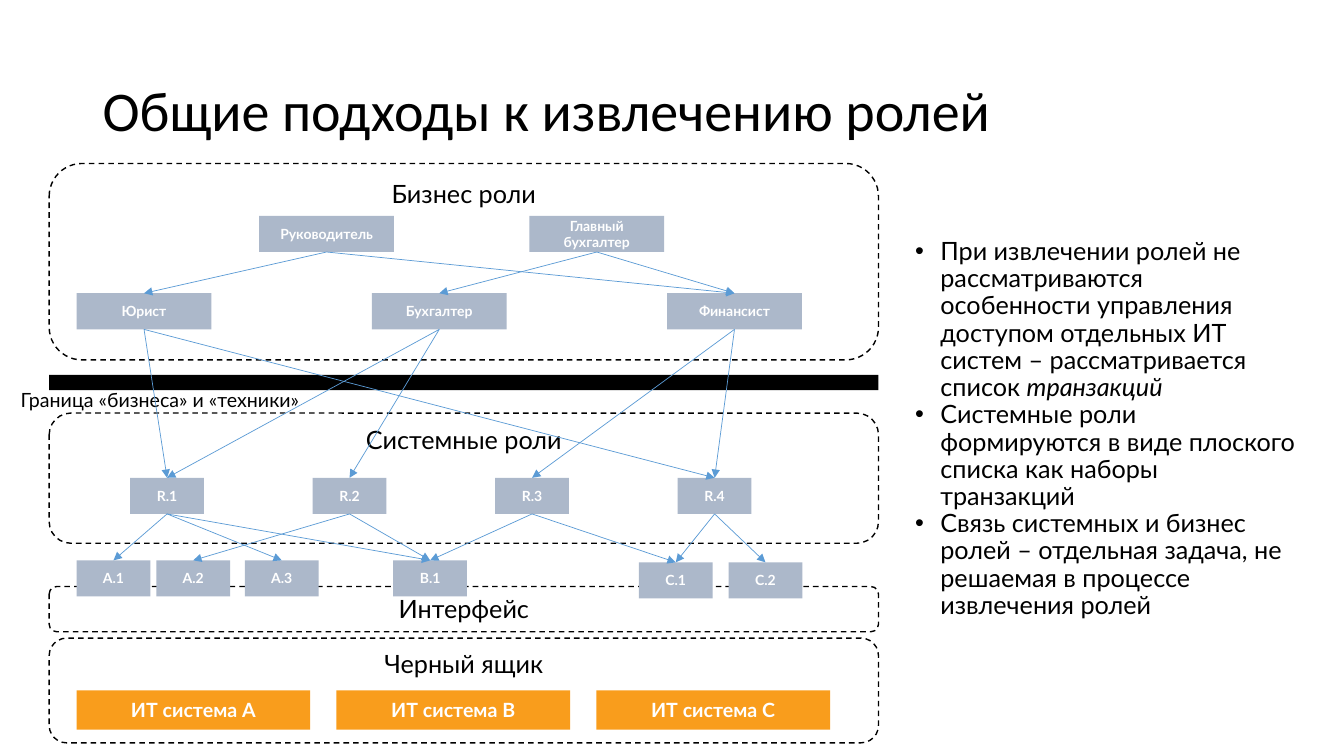
from pptx import Presentation
from pptx import util as u
from pptx.dml.color import RGBColor
from pptx.enum import dml, shapes, text
from pptx.oxml.ns import qn
from lxml import etree

BLACK = RGBColor(0x00, 0x00, 0x00)
WHITE = RGBColor(0xFF, 0xFF, 0xFF)
GREY = RGBColor(0xAC, 0xB8, 0xCA)
ORANGE = RGBColor(0xF9, 0x9D, 0x1C)
BLUE = RGBColor(0x5B, 0x9B, 0xD5)

LEFT, WIDE = 1.24, 20.9  # shared by all frames and the border bar

FRAMES = [  # label, top, height
    ("Бизнес роли", 4.12, 4.95),
    ("Системные роли", 10.41, 3.28),
    ("Интерфейс", 14.78, 1.14),
    ("Черный ящик", 16.08, 2.64),
]
CHIEFS = ["Руководитель", "Главный бухгалтер"]
STAFF = ["Юрист", "Бухгалтер", "Финансист"]
RIGHTS = [  # label, left, top
    ("A.1", 1.93, 14.12), ("A.2", 3.94, 14.12), ("A.3", 6.17, 14.12),
    ("B.1", 9.91, 14.12), ("C.1", 16.1, 14.17), ("C.2", 18.36, 14.17),
]
LINKS = {
    "Руководитель": ["Юрист", "Финансист"],
    "Главный бухгалтер": ["Бухгалтер", "Финансист"],
    "Юрист": ["R.1", "R.4"],
    "Бухгалтер": ["R.1", "R.2"],
    "Финансист": ["R.3", "R.4"],
    "R.1": ["A.1", "A.3", "B.1"],
    "R.2": ["A.2", "B.1"],
    "R.3": ["B.1", "C.1"],
    "R.4": ["C.1", "C.2"],
}
NOTES = [  # runs of each point; every second run is italic
    ["При извлечении ролей не рассматриваются особенности управления доступом "
     "отдельных ИТ систем – рассматривается список ", "транзакций"],
    ["Системные роли формируются в виде плоского списка как наборы транзакций"],
    ["Связь системных и бизнес ролей – отдельная задача, не решаемая "
     "в процессе извлечения ролей"],
]


def write(shape, paras, size=18, font="Lato", color=BLACK, bold=False,
          align=text.PP_ALIGN.LEFT, anchor=text.MSO_ANCHOR.TOP,
          wrap=True, space=1.0, bullet=False):
    frame = shape.text_frame
    frame.word_wrap = wrap
    frame.vertical_anchor = anchor
    for i, runs in enumerate(paras):
        para = frame.add_paragraph() if i else frame.paragraphs[0]
        para.alignment = align
        para.line_spacing = space
        if bullet:
            props = para._p.get_or_add_pPr()
            props.set("marL", str(u.Cm(0.64)))
            props.set("indent", str(-u.Cm(0.64)))
            etree.SubElement(props, qn("a:buFont")).set("typeface", "Arial")
            etree.SubElement(props, qn("a:buChar")).set("char", "•")
        for j, words in enumerate(runs):
            run = para.add_run()
            run.text = words
            run.font.size = u.Pt(size)
            run.font.name = font
            run.font.bold = bold
            run.font.italic = j % 2 == 1
            run.font.color.rgb = color


def add_text(slide, box, paras, **form):
    shape = slide.shapes.add_textbox(*map(u.Cm, box))
    write(shape, paras, **form)


def add_box(slide, box, fill):
    shape = slide.shapes.add_shape(
        shapes.MSO_SHAPE.RECTANGLE, *map(u.Cm, box))
    shape.shadow.inherit = False
    shape.fill.solid()
    shape.fill.fore_color.rgb = fill
    shape.line.fill.background()
    return shape


def add_label(slide, box, label, fill=GREY, size=10):
    shape = add_box(slide, box, fill)
    write(shape, [[label]], size=size, color=WHITE, bold=True,
          align=text.PP_ALIGN.CENTER, anchor=text.MSO_ANCHOR.MIDDLE)
    return shape


def add_frame(slide, label, top, high):
    shape = slide.shapes.add_shape(
        shapes.MSO_SHAPE.ROUNDED_RECTANGLE,
        *map(u.Cm, (LEFT, top, WIDE, high)))
    shape.shadow.inherit = False
    shape.fill.background()
    shape.line.color.rgb = BLACK
    shape.line.width = u.Pt(1)
    shape.line.dash_style = dml.MSO_LINE.DASH
    write(shape, [[label]], align=text.PP_ALIGN.CENTER)


def add_arrow(slide, start, end):
    arrow = slide.shapes.add_connector(
        shapes.MSO_CONNECTOR.STRAIGHT, 0, 0, 0, 0)
    arrow.begin_connect(start, 2)
    arrow.end_connect(end, 0)
    arrow.line.color.rgb = BLUE
    arrow.line.width = u.Pt(0.5)
    tail = etree.SubElement(arrow.line._get_or_add_ln(), qn("a:tailEnd"))
    tail.set("type", "triangle")
    etree.SubElement(arrow._element.spPr, qn("a:effectLst"))


def main():
    deck = Presentation()
    deck.slide_width, deck.slide_height = u.Cm(33.87), u.Cm(19.05)
    slide = deck.slides.add_slide(deck.slide_layouts[6])

    # Title and notes
    add_text(slide, (2.34, 1.02, 29.21, 3.68),
             [["Общие подходы к извлечению ролей"]], size=40, font="Calibri",
             anchor=text.MSO_ANCHOR.MIDDLE, space=0.9)
    add_text(slide, (22.81, 5.89, 10.1, 7.37), NOTES, space=0.9, bullet=True)

    # Border between business and technology
    add_box(slide, (LEFT, 9.45, WIDE, 0.38), BLACK)
    add_text(slide, (-0.15, 9.65, 7.95, 0.86),
             [["Граница «бизнеса» и «техники»"]], size=14,
             align=text.PP_ALIGN.RIGHT, wrap=False)

    # Layers
    for layer in FRAMES:
        add_frame(slide, *layer)
    for i, name in enumerate("ABC"):
        add_label(slide, (1.93 + 6.55 * i, 17.4, 5.89, 0.99),
                  f"ИТ система {name}", fill=ORANGE, size=14)

    # Roles and access rights
    nodes = {}
    for i, name in enumerate(CHIEFS):
        nodes[name] = add_label(slide, (6.53 + 6.81 * i, 5.44, 3.4, 0.91), name)
    for i, name in enumerate(STAFF):
        nodes[name] = add_label(slide, (1.93 + 7.44 * i, 7.39, 3.4, 0.91), name)
    for i in range(4):
        name = f"R.{i + 1}"
        nodes[name] = add_label(slide, (3.28 + 4.6 * i, 12.04, 1.86, 0.91), name)
    for name, left, top in RIGHTS:
        nodes[name] = add_label(slide, (left, top, 1.86, 0.91), name)

    # Links
    for start, ends in LINKS.items():
        for end in ends:
            add_arrow(slide, nodes[start], nodes[end])

    deck.save("out.pptx")


if __name__ == "__main__":
    main()
